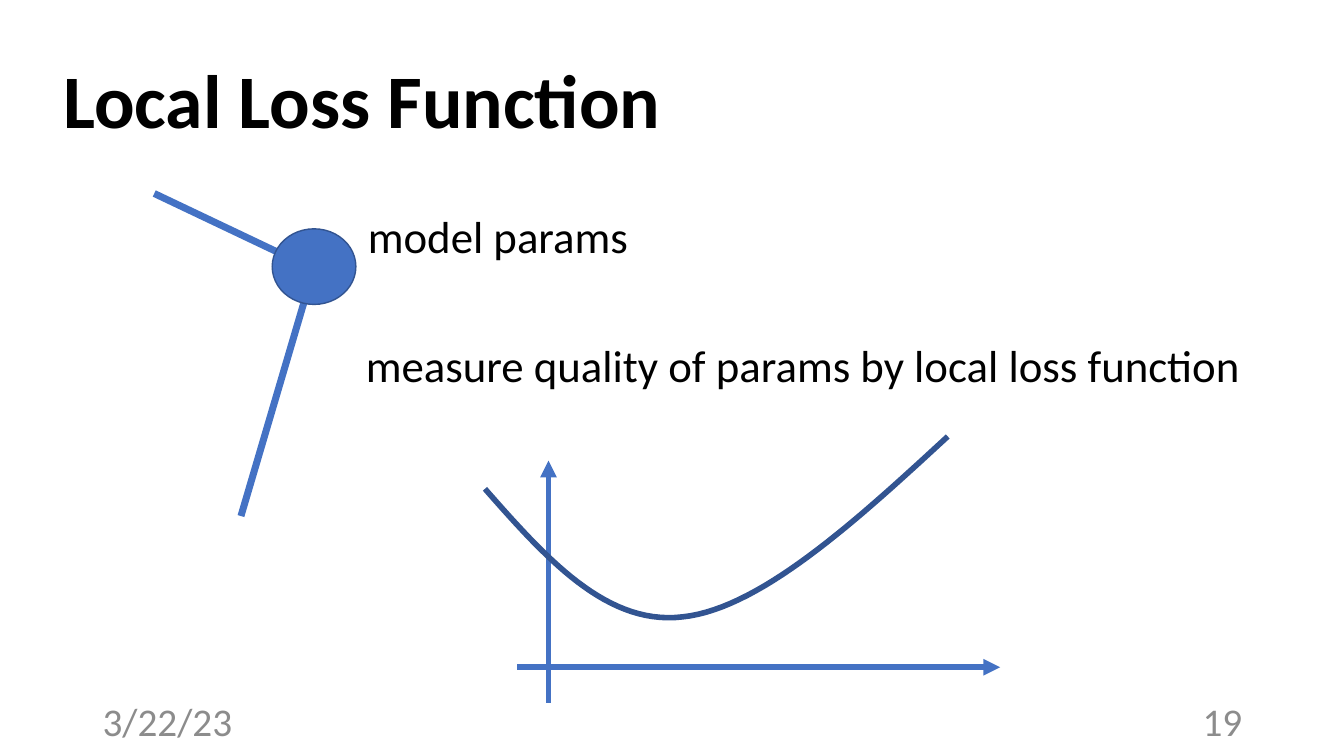
import pptx
import pptx.dml.color
import pptx.enum.shapes
import pptx.enum.text
import pptx.oxml
import pptx.util
from pptx.util import Inches

COLORS = {"text": "000000", "footer": "8C8C8C", "blue": "4472C4", "dark": "325491"}
ALIGN = pptx.enum.text.PP_ALIGN
ANCHOR = pptx.enum.text.MSO_ANCHOR


def rgb(name):
    return pptx.dml.color.RGBColor.from_string(COLORS[name])


presentation = pptx.Presentation()
presentation.slide_width = Inches(13.33)
presentation.slide_height = Inches(7.5)
slide = presentation.slides.add_slide(presentation.slide_layouts[6])

# Node edges and plot axes: start, end, width, arrowhead
strokes = [
    ((1.53, 1.92), (2.94, 2.59), 5, False),
    ((2.39, 5.12), (3.05, 2.88), 5, False),
    ((5.44, 6.97), (5.44, 4.57), 4, True),
    ((5.13, 6.62), (9.92, 6.62), 4, True),
]
for start, end, width, has_arrow in strokes:
    stroke = slide.shapes.add_connector(
        pptx.enum.shapes.MSO_CONNECTOR.STRAIGHT, *map(Inches, start + end))
    stroke.line.color.rgb = rgb("blue")
    stroke.line.width = pptx.util.Pt(width)
    properties = stroke.element.spPr
    if has_arrow:
        head = pptx.oxml.parse_xml(
            '<a:tailEnd xmlns:a="http://schemas.openxmlformats.org/drawingml/2006/main"'
            ' type="triangle"/>')
        properties.ln.append(head)
    properties.append(pptx.oxml.parse_xml(
        '<a:effectLst xmlns:a="http://schemas.openxmlformats.org/drawingml/2006/main"/>'))

# Network node
node = slide.shapes.add_shape(
    pptx.enum.shapes.MSO_SHAPE.OVAL, Inches(2.7), Inches(2.27), Inches(0.83), Inches(0.75))
node.shadow.inherit = False
node.fill.solid()
node.fill.fore_color.rgb = rgb("blue")
node.line.color.rgb = rgb("dark")
node.line.width = pptx.util.Pt(1)

# Loss curve, sampled from two cubic Bezier segments
segments = [
    ((4.81, 4.85), (5.41, 5.53), (6.01, 6.21), (6.77, 6.12)),
    ((6.77, 6.12), (7.53, 6.04), (8.47, 5.19), (9.4, 4.33)),
]
STEPS = 30
curve_points = []
for segment in segments:
    for step in range(1, STEPS + 1):
        t = step / STEPS
        weights = ((1 - t) ** 3, 3 * t * (1 - t) ** 2, 3 * t ** 2 * (1 - t), t ** 3)
        curve_points.append(tuple(
            Inches(sum(weight * point[axis] for weight, point in zip(weights, segment)))
            for axis in (0, 1)))
builder = slide.shapes.build_freeform(Inches(4.81), Inches(4.85))
builder.add_line_segments(curve_points, close=False)
loss_curve = builder.convert_to_shape()
loss_curve.shadow.inherit = False
loss_curve.fill.background()
loss_curve.line.color.rgb = rgb("dark")
loss_curve.line.width = pptx.util.Pt(4)

# Title, labels and footer: text, box, size, color, bold, wrap, alignment, anchor
labels = [
    ("Local Loss Function", (0.53, 0.48, 6.42, 1.01), 54, "text", True, False,
     ALIGN.LEFT, ANCHOR.TOP),
    ("model params", (3.55, 2.02, 2.81, 0.64), 32, "text", False, False,
     ALIGN.LEFT, ANCHOR.TOP),
    ("measure quality of params by local loss function", (3.53, 3.3, 9.28, 0.64), 32,
     "text", False, True, ALIGN.LEFT, ANCHOR.TOP),
    ("3/22/23", (0.92, 6.95, 3, 0.4), 28, "footer", False, True, ALIGN.LEFT, ANCHOR.MIDDLE),
    ("19", (9.42, 6.95, 3, 0.4), 28, "footer", False, True, ALIGN.RIGHT, ANCHOR.MIDDLE),
]
for text, box, size, color, bold, wrap, alignment, anchor in labels:
    frame = slide.shapes.add_textbox(*map(Inches, box)).text_frame
    frame.text = text
    frame.word_wrap = wrap
    frame.vertical_anchor = anchor
    paragraph = frame.paragraphs[0]
    paragraph.alignment = alignment
    font = paragraph.runs[0].font
    font.name = "Calibri"
    font.size = pptx.util.Pt(size)
    font.bold = bold
    font.color.rgb = rgb(color)

presentation.save("out.pptx")
